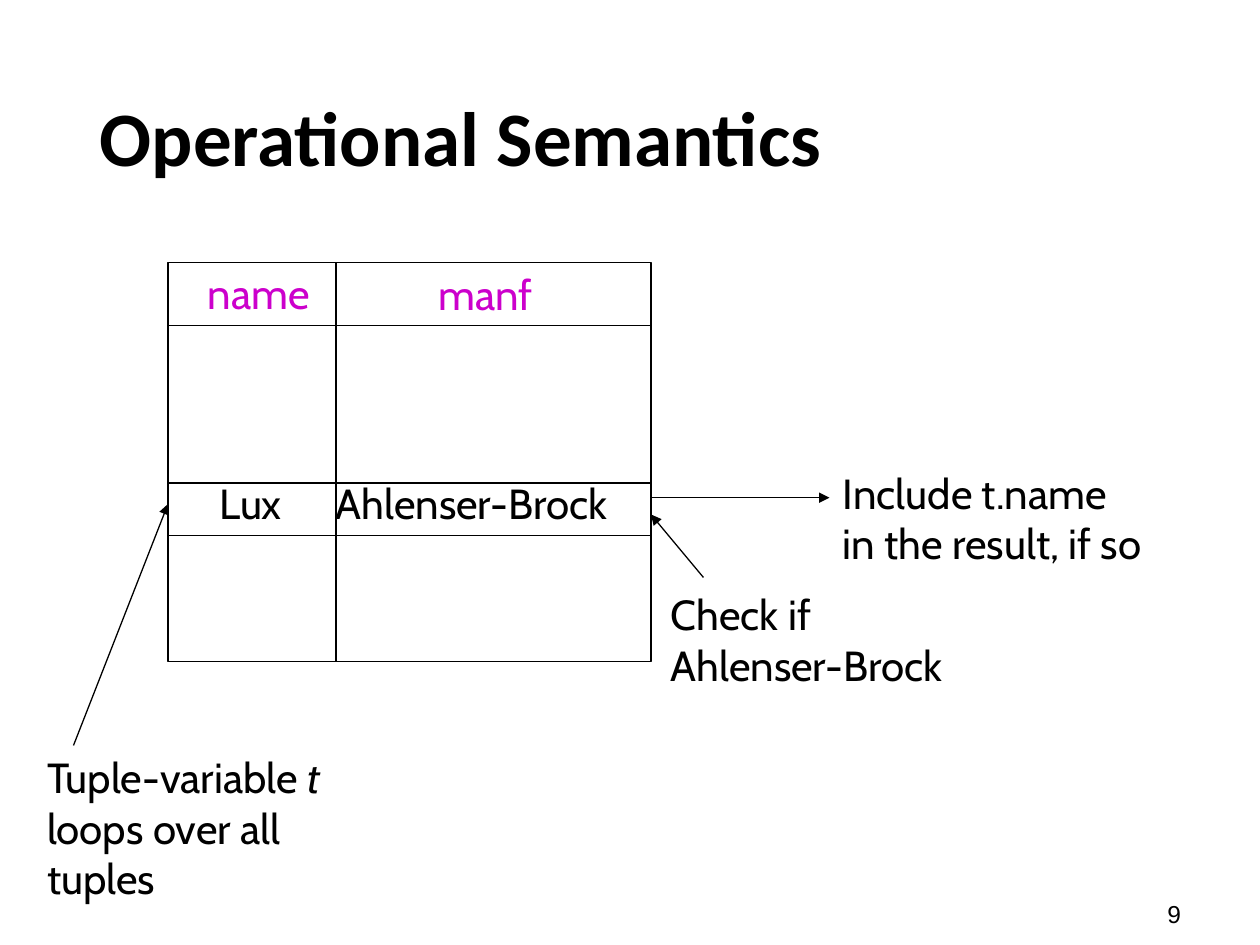
from lxml import etree
from pptx import Presentation
from pptx.dml.color import RGBColor
from pptx.enum.shapes import MSO_CONNECTOR, MSO_SHAPE
from pptx.enum.text import MSO_ANCHOR, PP_ALIGN
from pptx.oxml.ns import qn
from pptx.util import Inches, Pt

LINE, RECT = MSO_CONNECTOR.STRAIGHT, MSO_SHAPE.RECTANGLE
MID, LEFT = MSO_ANCHOR.MIDDLE, PP_ALIGN.LEFT

INK = RGBColor(0, 0, 0)
THEME = {
    "title": {"name": "Calibri", "size": Pt(44), "bold": True},
    "body": {"name": "Cabin", "size": Pt(24)},
    "head": {"name": "Cabin", "size": Pt(24), "color": RGBColor(0xCC, 0, 0xCC)},
    "page": {"name": "Arial", "size": Pt(14)},
    "rule": {"width": Pt(0.75)},
}

prs = Presentation()
prs.slide_width, prs.slide_height = Inches(10), Inches(7.5)
slide = prs.slides.add_slide(prs.slide_layouts[5])


def grid(*cells):
    """Turn steps of a 120 by 90 grid into lengths."""
    return [round(cell * prs.slide_width / 120) for cell in cells]


def write(para, text, style):
    """Fill a paragraph; text between asterisks is italic."""
    para.alignment = LEFT
    for i, part in enumerate(text.split("*")):
        if not part:
            continue
        run = para.add_run()
        run.text = part
        look = {"italic": i % 2 == 1, "color": INK, **THEME[style]}
        run.font.color.rgb = look.pop("color")
        for key, value in look.items():
            setattr(run.font, key, value)


# Title
title = slide.shapes.title
title.left, title.top, title.width, title.height = grid(8.3, 4.8, 103.6, 17.4)
title.text_frame.vertical_anchor = MID
para = title.text_frame.paragraphs[0]
para.line_spacing = 0.9
write(para, "Operational Semantics", "title")

# Frame of the relation
left, mid, right = 16, 32, 62
top, base = 25, 63
box = slide.shapes.add_shape(RECT, *grid(left, top, right - left, base - top))
box.shadow.inherit = False
box.fill.background()
box.line.color.rgb = INK
box.line.width = THEME["rule"]["width"]

# Rules inside the frame, then arrows to the picked tuple and the result
RULES = [(left, y, right, y) for y in (31, 46, 51)] + [(mid, top, mid, base)]
ARROWS = [(67, 55, right, 49), (right, 47.4, 79, 47.4), (7, 71, left, 48)]
for ends in RULES + ARROWS:
    rule = slide.shapes.add_connector(LINE, *grid(*ends))
    rule.line.color.rgb = INK
    rule.line.width = THEME["rule"]["width"]
    if ends in ARROWS:
        stroke = rule.line._get_or_add_ln()
        etree.SubElement(stroke, qn("a:tailEnd"), type="triangle")
    etree.SubElement(rule._element.spPr, qn("a:effectLst"))

# Entries of the relation, notes around it and the page number
LABELS = [
    ((18.6, 24.9, 13.1, 6), "head", ["name"]),
    ((40.6, 25, 12.2, 6), "head", ["manf"]),
    ((19.7, 44.9, 10, 6), "body", ["Lux"]),
    ((30.8, 44.9, 33.1, 6), "body", ["Ahlenser-Brock"]),
    ((62.7, 55.5, 33.1, 10.8), "body", ["Check if", "Ahlenser-Brock"]),
    ((79.1, 43.9, 34.8, 10.8), "body", ["Include t.name", "in the result, if so"]),
    ((3.3, 71, 31.4, 15.6), "body",
     ["Tuple-variable *t*", "loops over all", "tuples"]),
    ((110, 85, 7, 4), "page", ["9"]),
]
for place, style, lines in LABELS:
    text = slide.shapes.add_textbox(*grid(*place)).text_frame
    text.word_wrap = style == "page"
    for i, line in enumerate(lines):
        para = text.add_paragraph() if i else text.paragraphs[0]
        write(para, line, style)

prs.save("out.pptx")
